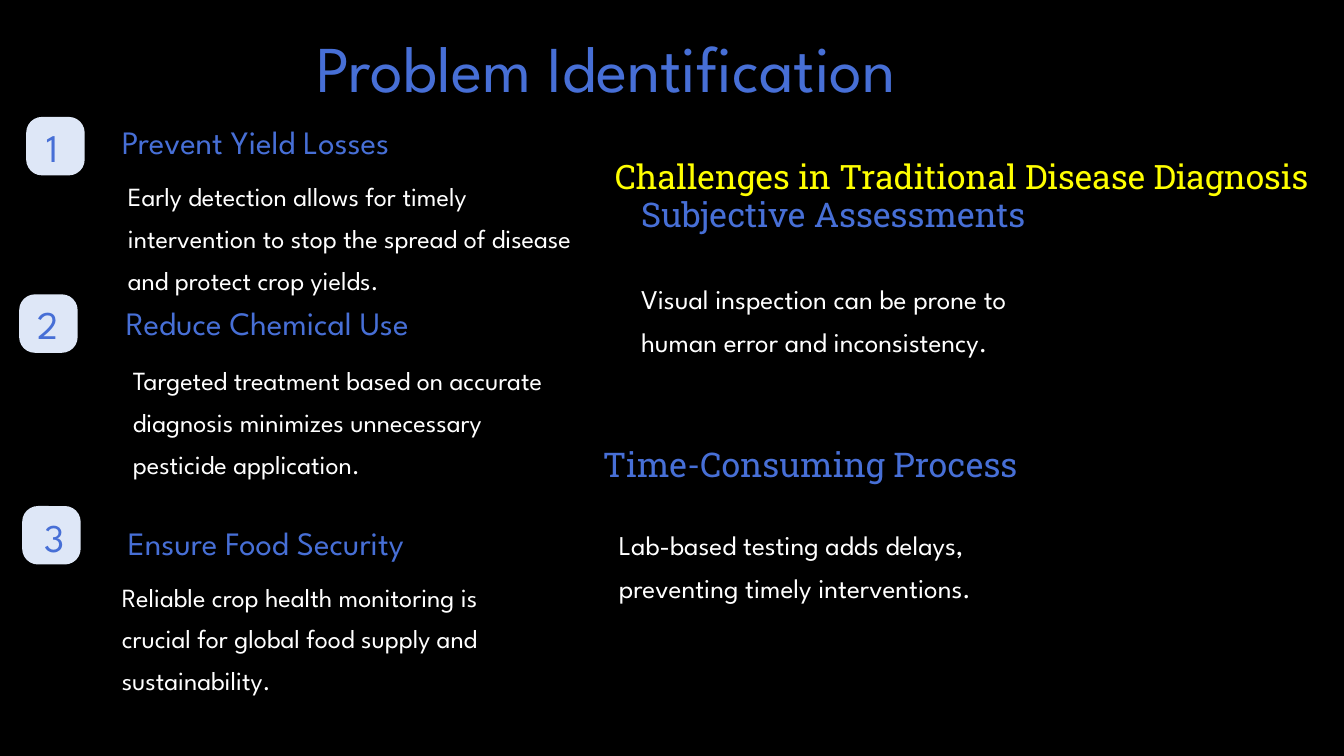
from pptx import Presentation
from pptx.dml.color import RGBColor
from pptx.enum.shapes import MSO_SHAPE as Shape
from pptx.enum.text import MSO_ANCHOR as Anchor, MSO_AUTO_SIZE as AutoSize, PP_ALIGN as Align
from pptx.util import Inches, Pt

COLORS = {"background": "000000", "accent": "476FD6", "badge": "DEE7F7",
          "text": "FFFFFF", "highlight": "FFFF00"}
SANS, SLAB = "League Spartan", "Roboto Slab"

# Text styles: font, size, line spacing, colour, wrapping and alignment
STYLES = {
    "title": (SANS, 46.7, 58.3, "accent", True, Align.LEFT),
    "number": (SANS, 28, 28, "accent", False, Align.CENTER),
    "goal": (SANS, 23.3, 29.2, "accent", False, Align.LEFT),
    "goal_body": (SANS, 18.7, 29.9, "text", True, Align.LEFT),
    "section": (SLAB, 24, 60.8, "highlight", False, Align.LEFT),
    "challenge": (SLAB, 24.3, 30.4, "accent", False, Align.LEFT),
    "challenge_body": (SANS, 19.4, 31.1, "text", True, Align.LEFT),
}

# Badge corner, number box, then heading and body boxes relative to the badge
GOALS = [
    ((0.26, 1.16), (0.18, 0.09, 0.16, 0.39),
     "Prevent Yield Losses", (0.85, -0.02, 3.24, 0.4),
     "Early detection allows for timely intervention to stop the spread of "
     "disease and protect crop yields.", (0.91, 0.48, 4.7, 0.83)),
    ((0.19, 2.92), (0.18, 0.09, 0.21, 0.39),
     "Reduce Chemical Use", (0.96, 0.02, 3.3, 0.4),
     "Targeted treatment based on accurate diagnosis minimizes unnecessary "
     "pesticide application.", (1.03, 0.54, 4.33, 1.64)),
    ((0.22, 5.02), (0.22, 0.1, 0.21, 0.39),
     "Ensure Food Security", (0.95, 0.1, 3.25, 0.4),
     "Reliable crop health monitoring is crucial for global food supply and "
     "sustainability.", (0.89, 0.59, 4.16, 1.52)),
]

# Heading corner and width, then the body corner relative to it
CHALLENGES = [
    ((6.26, 1.85), 3.82, "Subjective Assessments", (0, 0.79),
     "Visual inspection can be prone to human error and inconsistency."),
    ((5.88, 4.33), 4.11, "Time-Consuming Process", (0.16, 0.75),
     "Lab-based testing adds delays, preventing timely interventions."),
]


def color(name):
    return RGBColor.from_string(COLORS[name])


def write(shape, text, style):
    font, size, spacing, ink, wrap, align = STYLES[style]
    frame = shape.text_frame
    frame_format = {"auto_size": AutoSize.NONE, "word_wrap": wrap,
                    "vertical_anchor": Anchor.TOP}
    for name, value in frame_format.items():
        setattr(frame, name, value)
    para = frame.paragraphs[0]
    para_format = {"alignment": align, "line_spacing": Pt(spacing),
                   "space_before": Pt(0)}
    for name, value in para_format.items():
        setattr(para, name, value)
    span = para.add_run()
    span.text = text
    for name, value in {"name": font, "size": Pt(size)}.items():
        setattr(span.font, name, value)
    span.font.color.rgb = color(ink)


def add_text(page, box, text, style):
    shape = page.shapes.add_textbox(*map(Inches, box))
    write(shape, text, style)


def add_title(page, box, text):
    title = page.shapes.title
    for name, value in zip(("left", "top", "width", "height"), box):
        setattr(title, name, Inches(value))
    write(title, text, "title")


def add_goal(page, corner, number, number_box, heading, heading_box, body, body_box):
    left, top = corner
    badge = page.shapes.add_shape(Shape.ROUNDED_RECTANGLE,
                                  *map(Inches, (left, top, 0.58, 0.58)))
    badge.adjustments[0] = 0.27
    badge.shadow.inherit = False
    badge.fill.solid()
    badge.fill.fore_color.rgb = color("badge")
    badge.line.fill.background()
    parts = [(number_box, str(number), "number"), (heading_box, heading, "goal"),
             (body_box, body, "goal_body")]
    for (across, down, width, height), text, style in parts:
        add_text(page, (left + across, top + down, width, height), text, style)


def add_challenge(page, corner, width, heading, body_offset, body):
    left, top = corner
    across, down = body_offset
    add_text(page, (left, top, width, 0.42), heading, "challenge")
    add_text(page, (left + across, top + down, 4.26, 0.86), body, "challenge_body")


def main():
    deck = Presentation()
    deck.slide_width, deck.slide_height = Inches(13.33), Inches(7.5)
    page = deck.slides.add_slide(deck.slide_layouts[5])
    page.background.fill.solid()
    page.background.fill.fore_color.rgb = color("background")

    # Title
    add_title(page, (3.04, 0.19, 8.19, 0.97), "Problem Identification")

    # Numbered goals on the left
    for number, (corner, *parts) in enumerate(GOALS, 1):
        add_goal(page, corner, number, *parts)

    # Challenges on the right
    add_text(page, (6, 1.05, 7.2, 0.4),
             "Challenges in Traditional Disease Diagnosis", "section")
    for challenge in CHALLENGES:
        add_challenge(page, *challenge)

    deck.save("out.pptx")


if __name__ == "__main__":
    main()
